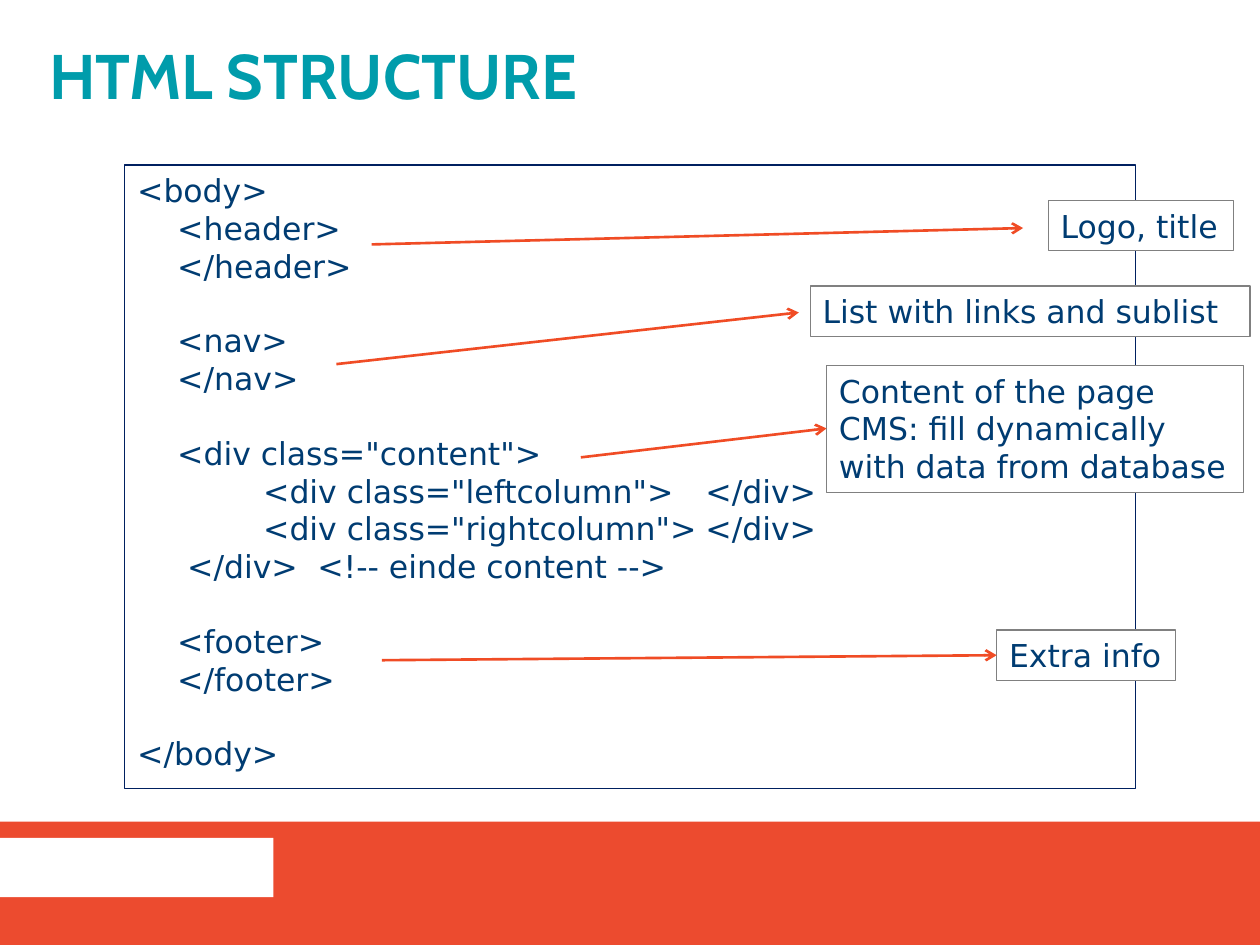
"""Build a slide that explains the structure of an HTML page."""
from typing import NamedTuple

from lxml.etree import SubElement
from pptx import Presentation
from pptx.dml.color import RGBColor
from pptx.enum.shapes import MSO_CONNECTOR as Conn, MSO_SHAPE as Geom
from pptx.enum.text import MSO_ANCHOR as Anchor, PP_ALIGN as Align
from pptx.oxml.ns import qn
from pptx.util import Inches, Pt

TEAL = RGBColor(0x00, 0x9C, 0xAB)
NAVY = RGBColor(0x00, 0x20, 0x60)
INK = RGBColor(0x00, 0x3C, 0x72)
RED = RGBColor(0xEC, 0x4B, 0x2F)
FLAME = RGBColor(0xF0, 0x4C, 0x25)
GRAY = RGBColor(0x80, 0x80, 0x80)
WHITE = RGBColor(0xFF, 0xFF, 0xFF)
CELL = Inches(0.1)
COLS, ROWS = 100, 75
LEAD = Pt(21)


class Box(NamedTuple):
    """A place on the grid, in columns and rows."""
    x: float
    y: float
    w: float
    h: float


class Line(NamedTuple):
    """A line of text, its tab stops in columns and the blank lines before it."""
    text: str
    stops: tuple[float, ...] = ()
    gap: int = 0


class Note(NamedTuple):
    """A label with the arrow that leads to it."""
    box: Box
    lines: tuple[str, ...]
    start: tuple[float, float]
    end: tuple[float, float]


STEP = (3.18,)
DEEP = (10, 45.1)
CODE = (
    Line("<body>"),
    Line("\t<header>", STEP),
    Line("\t</header>", STEP),
    Line("\t<nav>", STEP, 1),
    Line("\t</nav>", STEP),
    Line('\t<div class="content">', STEP, 1),
    Line('\t<div class="leftcolumn">\t</div>', DEEP),
    Line('\t<div class="rightcolumn">\t</div>', DEEP),
    Line("\t</div>\t<!-- einde content -->", (3.97, 14.3)),
    Line("\t<footer>", STEP, 1),
    Line("\t</footer>", STEP),
    Line("</body>", (), 1),
)
NOTES = (
    Note(Box(83.2, 15.9, 14.7, 4), ("Logo, title",), (29.5, 19.4), (81.2, 18.1)),
    Note(Box(64.3, 22.7, 34.9, 4), ("List with links and sublist",),
         (26.7, 28.9), (63.4, 24.8)),
    Note(Box(65.6, 29, 33.1, 10.1),
         ("Content of the page", "CMS: fill dynamically", "with data from database"),
         (46.1, 36.3), (65.6, 34)),
    Note(Box(79.1, 50, 14.2, 4), ("Extra info",), (30.3, 52.4), (79.1, 52)),
)


def grid(*nums: float) -> list[int]:
    """Turn grid units into lengths."""
    return [int(n * CELL) for n in nums]


def block(slide, box: Box, fill: RGBColor, edge: RGBColor | None = None):
    """Draw a flat box."""
    shape = slide.shapes.add_shape(Geom.RECTANGLE, *grid(*box))
    shape.shadow.inherit = False
    shape.fill.solid()
    shape.fill.fore_color.rgb = fill
    if edge is None:
        shape.line.fill.background()
    else:
        shape.line.color.rgb = edge
        shape.line.width = Pt(0.75)
    return shape


def put(para, text: str, size: float, font: str, ink: RGBColor, bold: bool = False) -> None:
    """Add one run to a paragraph."""
    run = para.add_run()
    run.text = text
    run.font.size, run.font.name, run.font.bold = Pt(size), font, bold
    run.font.color.rgb = ink


def write(shape, lines: tuple[Line, ...], wrap: bool) -> None:
    """Fill a box with lines of text."""
    frame = shape.text_frame
    frame.word_wrap = wrap
    frame.vertical_anchor = Anchor.TOP
    for i, line in enumerate(lines):
        para = frame.add_paragraph() if i else frame.paragraphs[0]
        para.alignment = Align.LEFT
        para.space_before = LEAD * line.gap
        if line.stops:
            tabs = SubElement(para._p.get_or_add_pPr(), qn("a:tabLst"))
            for pos in grid(*line.stops):
                SubElement(tabs, qn("a:tab"), pos=str(pos), algn="l")
        put(para, line.text, 18, "DejaVu Sans", INK)


def arrow(slide, start: tuple[float, float], end: tuple[float, float]) -> None:
    """Draw an arrow between two points."""
    link = slide.shapes.add_connector(Conn.STRAIGHT, *grid(*start, *end))
    link.line.color.rgb = FLAME
    link.line.width = Pt(1.5)
    SubElement(link.line._get_or_add_ln(), qn("a:tailEnd"), type="arrow")
    SubElement(link._element.spPr, qn("a:effectLst"))


def title(slide, text: str) -> None:
    """Write the slide title."""
    frame = slide.shapes.add_textbox(*grid(0, 0, COLS, 12.5)).text_frame
    frame.word_wrap = True
    frame.vertical_anchor = Anchor.MIDDLE
    frame.margin_left = frame.margin_right = Inches(0.39)
    frame.margin_top, frame.margin_bottom = Inches(0.2), Inches(0.16)
    para = frame.paragraphs[0]
    para.line_spacing = 0.8
    put(para, text, 36, "Cabin", TEAL, True)


def main() -> None:
    """Build and save the slide."""
    deck = Presentation()
    deck.slide_width, deck.slide_height = grid(COLS, ROWS)
    slide = deck.slides.add_slide(deck.slide_layouts[6])
    block(slide, Box(0, 65.2, COLS, 9.8), RED)
    block(slide, Box(0, 66.5, 21.7, 4.7), WHITE)
    title(slide, "HTML STRUCTURE")
    write(block(slide, Box(9.9, 13.1, 80.2, 49.5), WHITE, NAVY), CODE, True)
    for note in NOTES:
        label = block(slide, note.box, WHITE, GRAY)
        write(label, tuple(Line(text) for text in note.lines), False)
        arrow(slide, note.start, note.end)
    deck.save("out.pptx")


if __name__ == "__main__":
    main()
